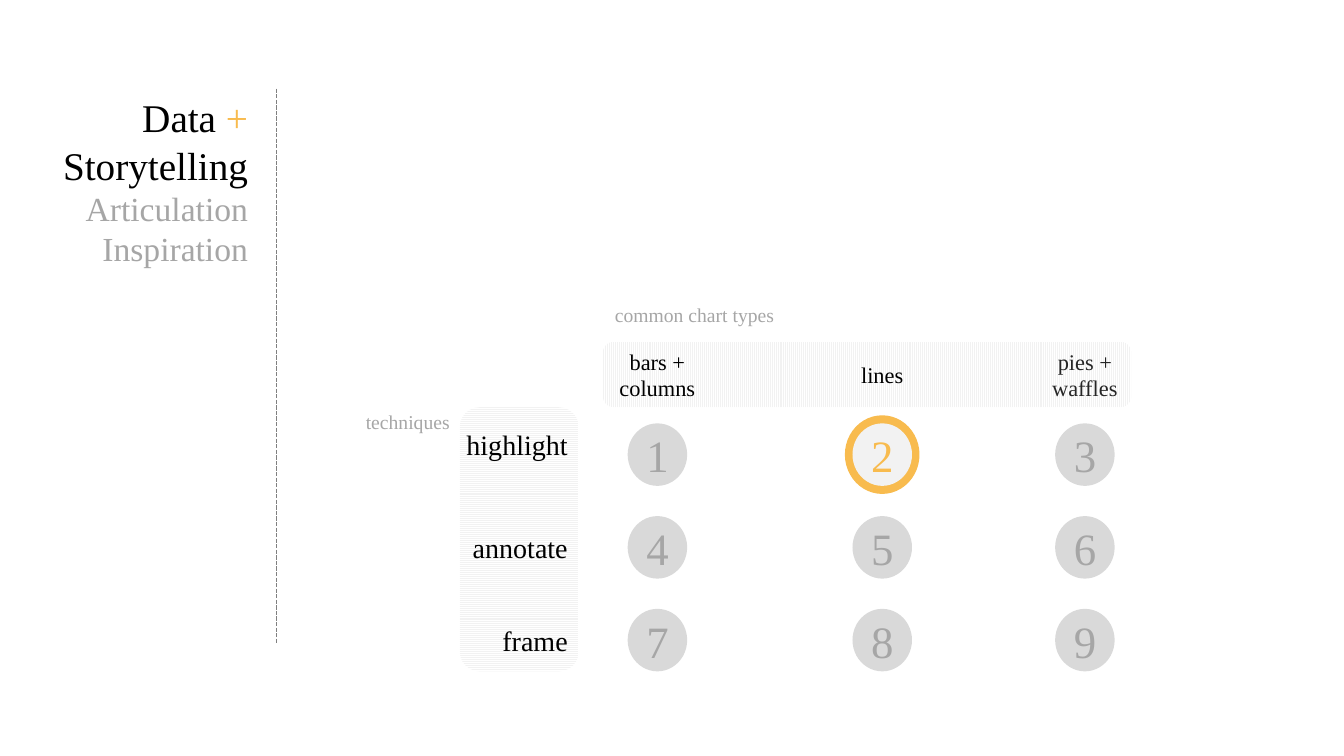
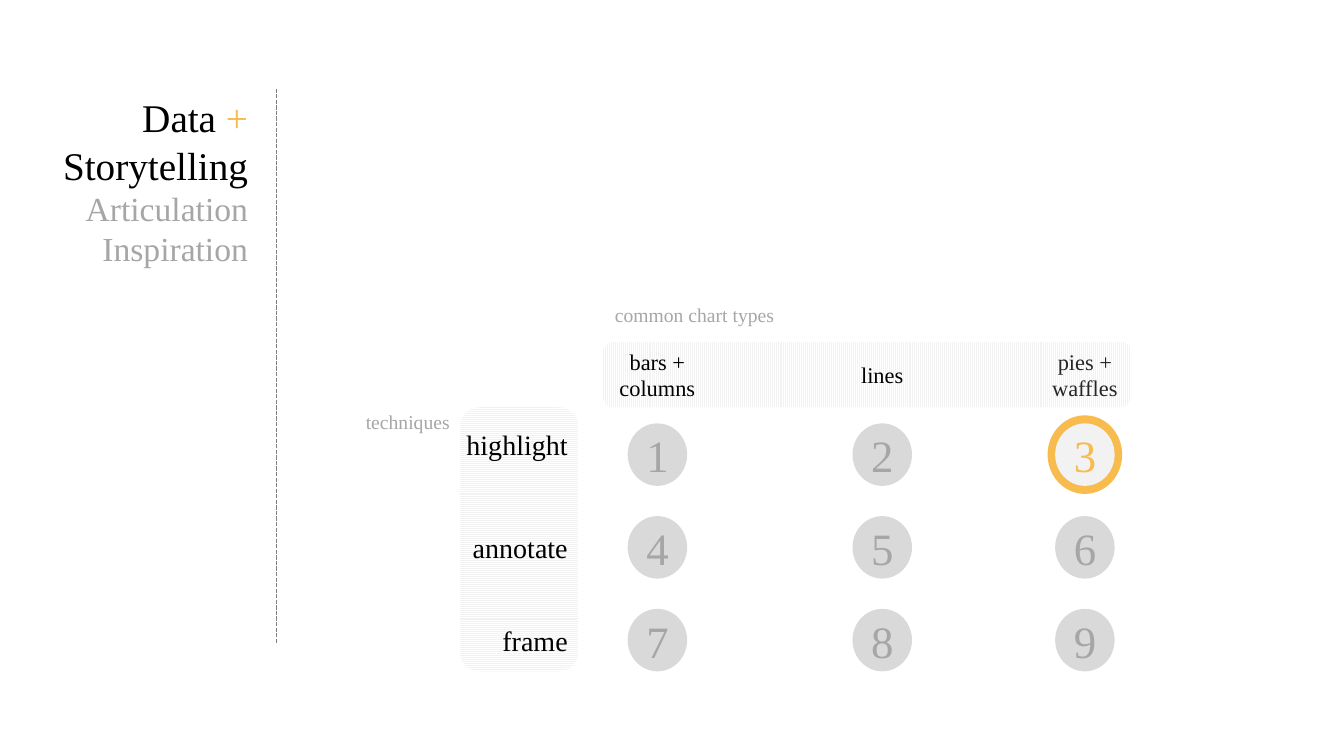
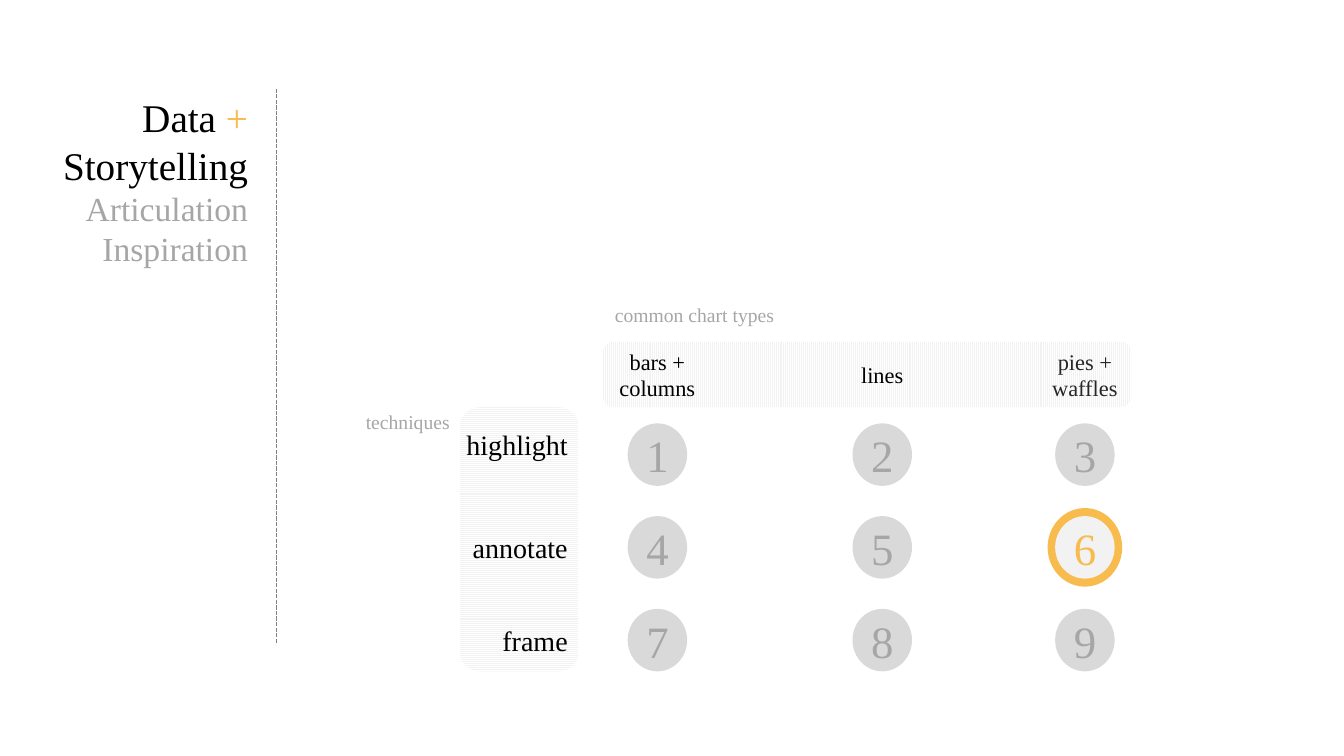
from lxml.etree import SubElement
from pptx import Presentation
from pptx.dml.color import RGBColor as RGB
from pptx.enum.dml import MSO_LINE as Dash, MSO_PATTERN as Pat
from pptx.enum.shapes import MSO_CONNECTOR as Conn, MSO_SHAPE as Geo
from pptx.enum.text import MSO_ANCHOR as Anchor, MSO_AUTO_SIZE as Auto, PP_ALIGN as Align
from pptx.oxml.ns import qn
from pptx.util import Inches, Pt

FONT = "Times New Roman"
BLACK = RGB(0x00, 0x00, 0x00)
DARK = RGB(0x26, 0x26, 0x26)
RULE = RGB(0x80, 0x80, 0x80)
GREY = RGB(0xA6, 0xA6, 0xA6)
DISC = RGB(0xD9, 0xD9, 0xD9)
PALE = RGB(0xF2, 0xF2, 0xF2)
WHITE = RGB(0xFF, 0xFF, 0xFF)
GOLD = RGB(0xF8, 0xBB, 0x4E)

TITLE = [
    [("Data ", 28, BLACK), ("+", 28, GOLD)],
    [("Storytelling", 28, BLACK)],
    [("Articulation Inspiration", 24, GREY)],
]
HEADS = [("bars + columns", BLACK), ("lines", BLACK), ("pies + waffles", DARK)]
ROWS = [("highlight", -0.1), ("annotate", 0), ("frame", 0)]
COLS = [2.99, 5.22, 7.23]
TOP, STEP = 1.56, 0.92
HOT = [2, 3, 6]


def inch(*vals):
    """Turn numbers into inch lengths."""
    return [Inches(v) for v in vals]


def write(frame, paras, align=Align.LEFT, anchor=Anchor.TOP):
    """Fill a text frame with paragraphs of (text, size, colour) runs."""
    frame.word_wrap = True
    frame.auto_size = Auto.NONE
    frame.vertical_anchor = anchor
    for i, runs in enumerate(paras):
        para = frame.add_paragraph() if i else frame.paragraphs[0]
        para.alignment = align
        for text, size, color in runs:
            run = para.add_run()
            run.text = text
            run.font.name = FONT
            run.font.size = Pt(size)
            run.font.color.rgb = color


def label(slide, box, text, size, color, align=Align.LEFT, anchor=Anchor.MIDDLE):
    """Add a one-run text box."""
    item = slide.shapes.add_textbox(*inch(*box))
    write(item.text_frame, [[(text, size, color)]], align, anchor)


def shape(slide, geo, box):
    """Add a preset shape with no line or shadow."""
    item = slide.shapes.add_shape(geo, *inch(*box))
    item.shadow.inherit = False
    item.line.fill.background()
    return item


def band(slide, box, pat):
    """Add a rounded band with a pale line pattern."""
    fill = shape(slide, Geo.ROUNDED_RECTANGLE, box).fill
    fill.patterned()
    fill.pattern = pat
    fill.fore_color.rgb = PALE
    fill.back_color.rgb = WHITE


def disc(slide, mid_x, mid_y, wide, high, color):
    """Add a filled ellipse around a centre."""
    box = (mid_x - wide / 2, mid_y - high / 2, wide, high)
    item = shape(slide, Geo.OVAL, box)
    item.fill.solid()
    item.fill.fore_color.rgb = color
    return item


def badge(slide, mid_x, mid_y, num, hot):
    """Add a numbered disc, ringed in gold when hot."""
    if hot:
        disc(slide, mid_x, mid_y, 0.74, 0.78, GOLD)
    item = disc(slide, mid_x, mid_y, 0.59, 0.62, PALE if hot else DISC)
    run = (str(num), 32, GOLD if hot else GREY)
    write(item.text_frame, [[run]], Align.CENTER, Anchor.MIDDLE)


def aside(slide, x, y, wide, high):
    """Place the title and the dashed rule to its right."""
    title = slide.shapes.title
    title.left, title.top, title.width, title.height = inch(x, y, wide, 1.85)
    write(title.text_frame, TITLE, Align.RIGHT)
    edge = x + wide
    rule = slide.shapes.add_connector(
        Conn.STRAIGHT, *inch(edge, y, edge, y + high))
    rule.begin_x = rule.end_x = Inches(edge + 0.18)
    rule.line.color.rgb = RULE
    rule.line.width = Pt(1)
    rule.line.dash_style = Dash.SQUARE_DOT
    SubElement(rule.element.spPr, qn("a:effectLst"))


def matrix(slide, x, y, hot):
    """Place the grid of techniques by chart types."""
    band(slide, (x + 2.45, y + 0.44, 5.24, 0.65), Pat.LIGHT_VERTICAL)
    band(slide, (x + 1.03, y + 1.09, 1.18, 2.62), Pat.LIGHT_HORIZONTAL)
    label(slide, (x, y + 1.06, 1.66, 0.34), "techniques", 14, GREY)
    label(slide, (x + 2.47, y, 2.46, 0.34), "common chart types", 14, GREY)
    for col, (text, color) in zip(COLS, HEADS):
        box = (x + col - 0.57, y + 0.44, 1.14, 0.65)
        label(slide, box, text, 16, color, Align.CENTER)
    for i, (text, shift) in enumerate(ROWS):
        mid = y + TOP + i * STEP
        box = (x + 0.75, mid + shift - 0.22, 1.45, 0.44)
        label(slide, box, text, 20, BLACK, Align.RIGHT)
        for j, col in enumerate(COLS):
            num = i * len(COLS) + j + 1
            badge(slide, x + col, mid, num, num == hot)


def main():
    """Build one slide for each hot number."""
    deck = Presentation()
    deck.slide_width, deck.slide_height = inch(13.33, 7.5)
    for hot in HOT:
        slide = deck.slides.add_slide(deck.slide_layouts[5])
        aside(slide, 0.41, 0.88, 2.15, 5.5)
        matrix(slide, 3.53, 2.95, hot)
    deck.save("out.pptx")


if __name__ == "__main__":
    main()
